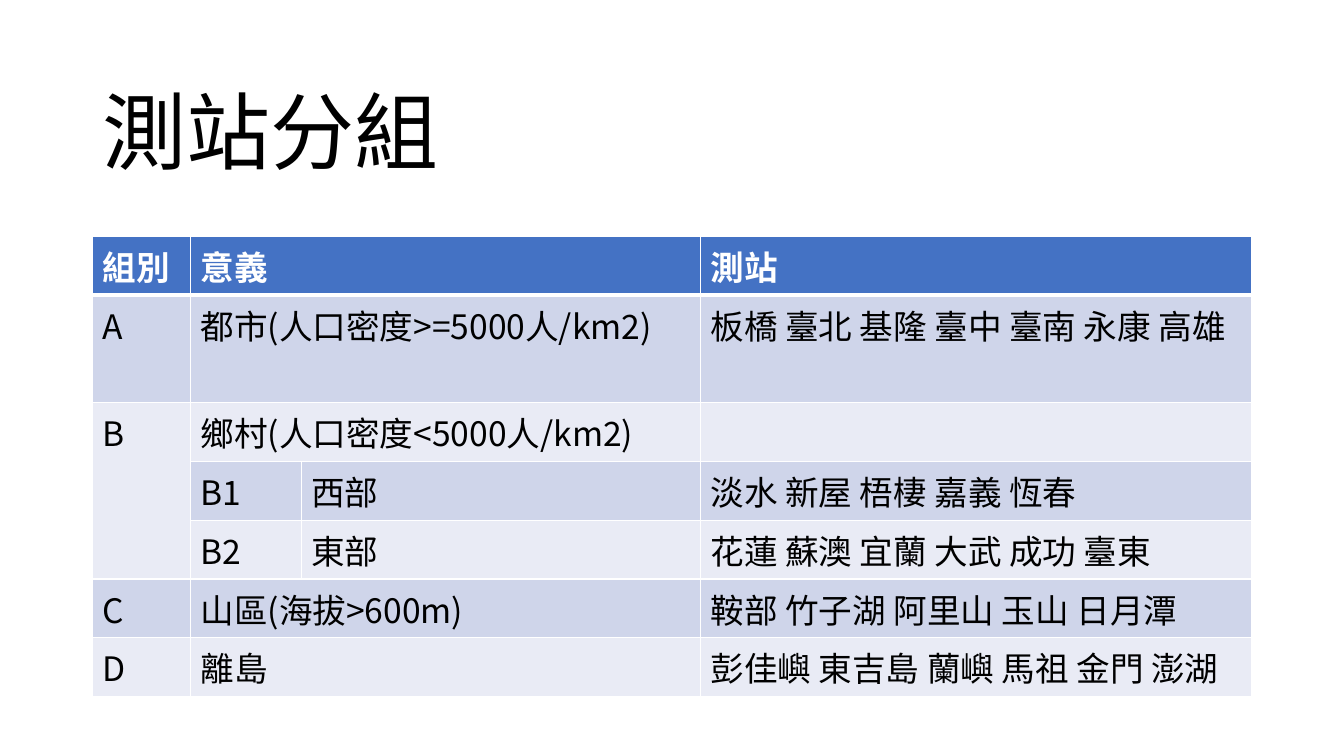
from lxml import etree
from pptx import Presentation
from pptx.dml.color import RGBColor
from pptx.enum.text import MSO_ANCHOR
from pptx.oxml.ns import qn
from pptx.util import Cm, Pt

BOTTOM = MSO_ANCHOR.BOTTOM
FONT = "Noto Sans CJK SC"
BLACK = RGBColor(0x00, 0x00, 0x00)
WHITE = RGBColor(0xFF, 0xFF, 0xFF)
HEADER_BLUE = RGBColor(0x44, 0x72, 0xC4)
BAND_DARK = RGBColor(0xCF, 0xD5, 0xEA)
BAND_LIGHT = RGBColor(0xE9, 0xEB, 0xF5)

COLUMN_WIDTHS = [2.47, 2.79, 10.06, 13.89]
ONE_LINE, TWO_LINES = 1.48, 2.71
ROW_HEIGHTS = [ONE_LINE, TWO_LINES] + [ONE_LINE] * 5
# Group, meaning, region, stations; None is covered by a merged cell
STATION_GROUPS = [
    ("組別", "意義", None, "測站"),
    ("A", "都市(人口密度>=5000人/km2)", None, "板橋 臺北 基隆 臺中 臺南 永康 高雄"),
    ("B", "鄉村(人口密度<5000人/km2)", None, ""),
    (None, "B1", "西部", "淡水 新屋 梧棲 嘉義 恆春"),
    (None, "B2", "東部", "花蓮 蘇澳 宜蘭 大武 成功 臺東"),
    ("C", "山區(海拔>600m)", None, "鞍部 竹子湖 阿里山 玉山 日月潭"),
    ("D", "離島", None, "彭佳嶼 東吉島 蘭嶼 馬祖 金門 澎湖"),
]


def write_text(frame, text, size=24, color=BLACK, bold=False, line_spacing=None):
    paragraph = frame.paragraphs[0]
    if line_spacing:
        paragraph.line_spacing = line_spacing
    run = paragraph.add_run()
    run.text = text
    run.font.size = Pt(size)
    run.font.bold = bold
    run.font.name = FONT
    run.font.color.rgb = color
    east_asian = etree.SubElement(run.font._element, qn("a:ea"))
    east_asian.set("typeface", FONT)


def set_borders(cell, top=1, bottom=1):
    properties = cell._tc.get_or_add_tcPr()
    for side, width in (("L", 1), ("R", 1), ("T", top), ("B", bottom)):
        line = etree.SubElement(properties, qn(f"a:ln{side}"), w=str(Pt(width)))
        fill = etree.SubElement(line, qn("a:solidFill"))
        etree.SubElement(fill, qn("a:srgbClr"), val=str(WHITE))


def add_title(slide, left, top, width, height):
    title = slide.shapes.add_textbox(left, top, width, height).text_frame
    title.word_wrap = True
    title.vertical_anchor = BOTTOM
    write_text(title, "測站分組", size=60, line_spacing=0.9)


def add_station_table(slide, left, top, width, height):
    stations = slide.shapes.add_table(
        len(STATION_GROUPS), len(COLUMN_WIDTHS), left, top, width, height).table
    for column, column_width in zip(stations.columns, COLUMN_WIDTHS):
        column.width = Cm(column_width)
    for row, row_height in zip(stations.rows, ROW_HEIGHTS):
        row.height = Cm(row_height)

    # Cells, with a thick rule under the header
    for r, group in enumerate(STATION_GROUPS):
        header = r == 0
        band = HEADER_BLUE if header else BAND_DARK if r % 2 else BAND_LIGHT
        for c, text in enumerate(group):
            cell = stations.cell(r, c)
            set_borders(cell, top=3 if r == 1 else 1, bottom=3 if header else 1)
            cell.fill.solid()
            cell.fill.fore_color.rgb = band
            if text:
                write_text(cell.text_frame, text, bold=header,
                           color=WHITE if header else BLACK)

    # Meaning spans two columns unless a region is given; B spans its subgroups
    for r, group in enumerate(STATION_GROUPS):
        if group[2] is None:
            stations.cell(r, 1).merge(stations.cell(r, 2))
    stations.cell(2, 0).merge(stations.cell(4, 0))


def main():
    presentation = Presentation()
    presentation.slide_width = Cm(33.87)
    presentation.slide_height = Cm(19.05)
    slide = presentation.slides.add_slide(presentation.slide_layouts[6])

    left, width = Cm(2.33), Cm(sum(COLUMN_WIDTHS))
    add_title(slide, left, Cm(1.02), width, Cm(3.68))
    add_station_table(slide, left, Cm(5.96), width, Cm(sum(ROW_HEIGHTS)))
    presentation.save("out.pptx")


if __name__ == "__main__":
    main()
